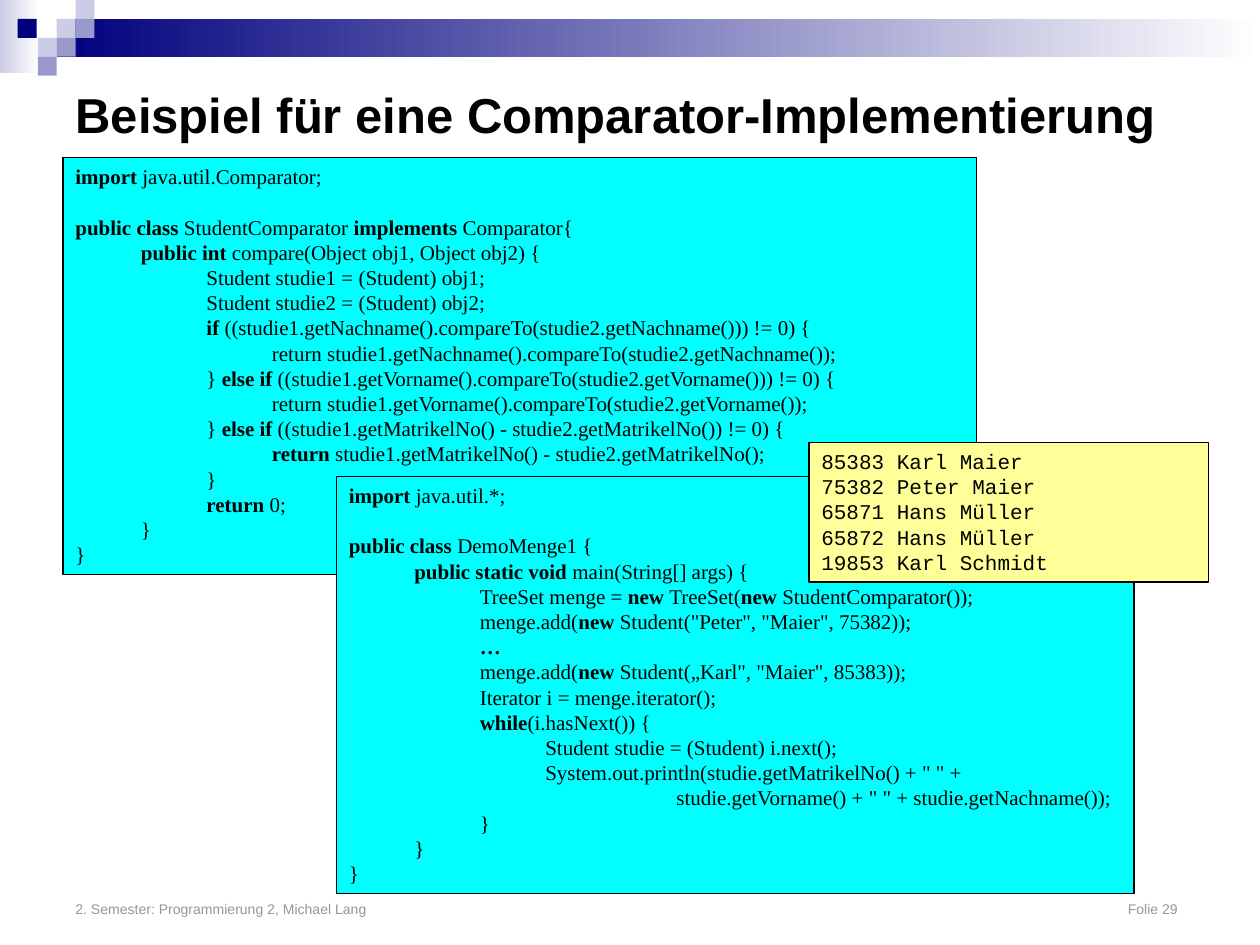
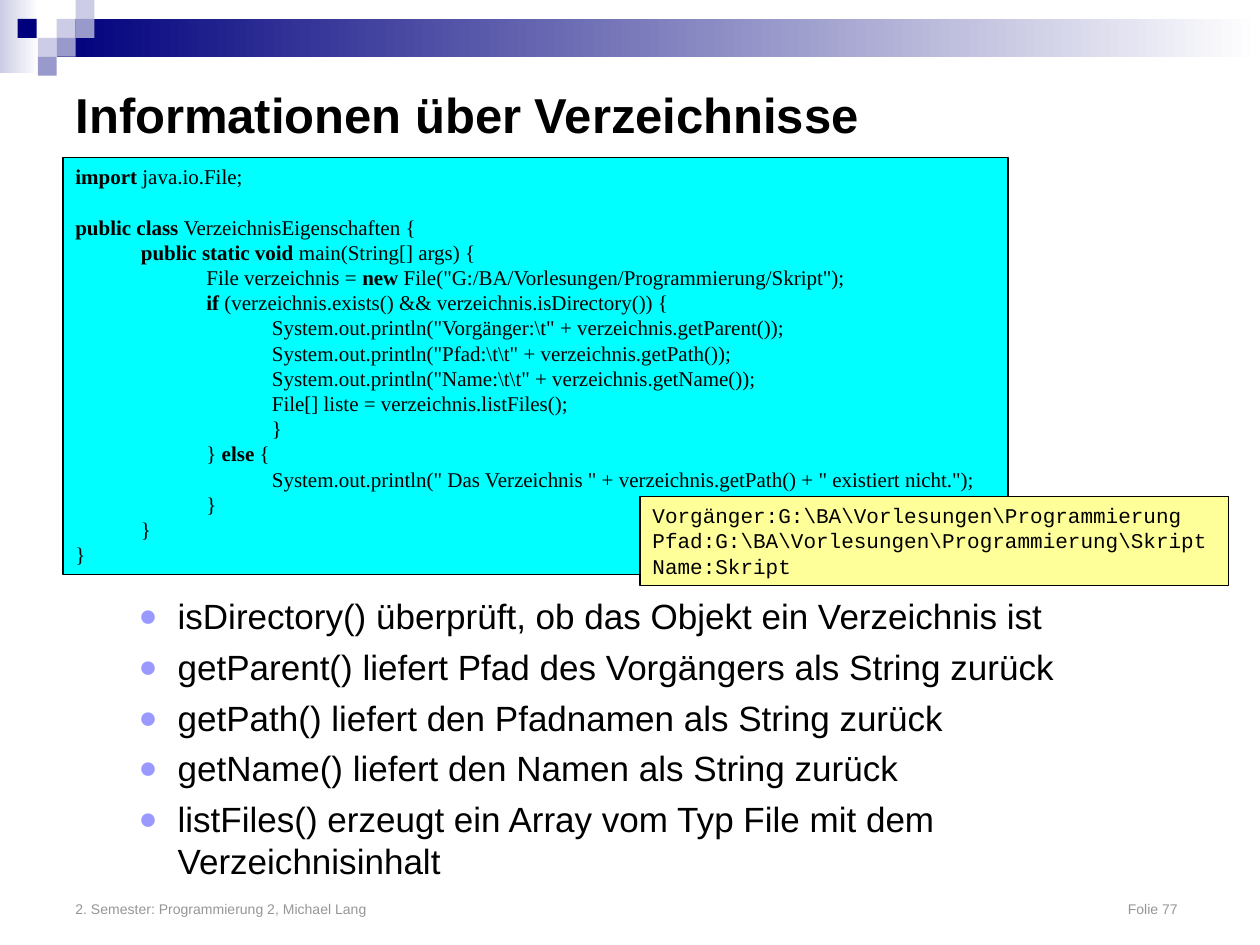
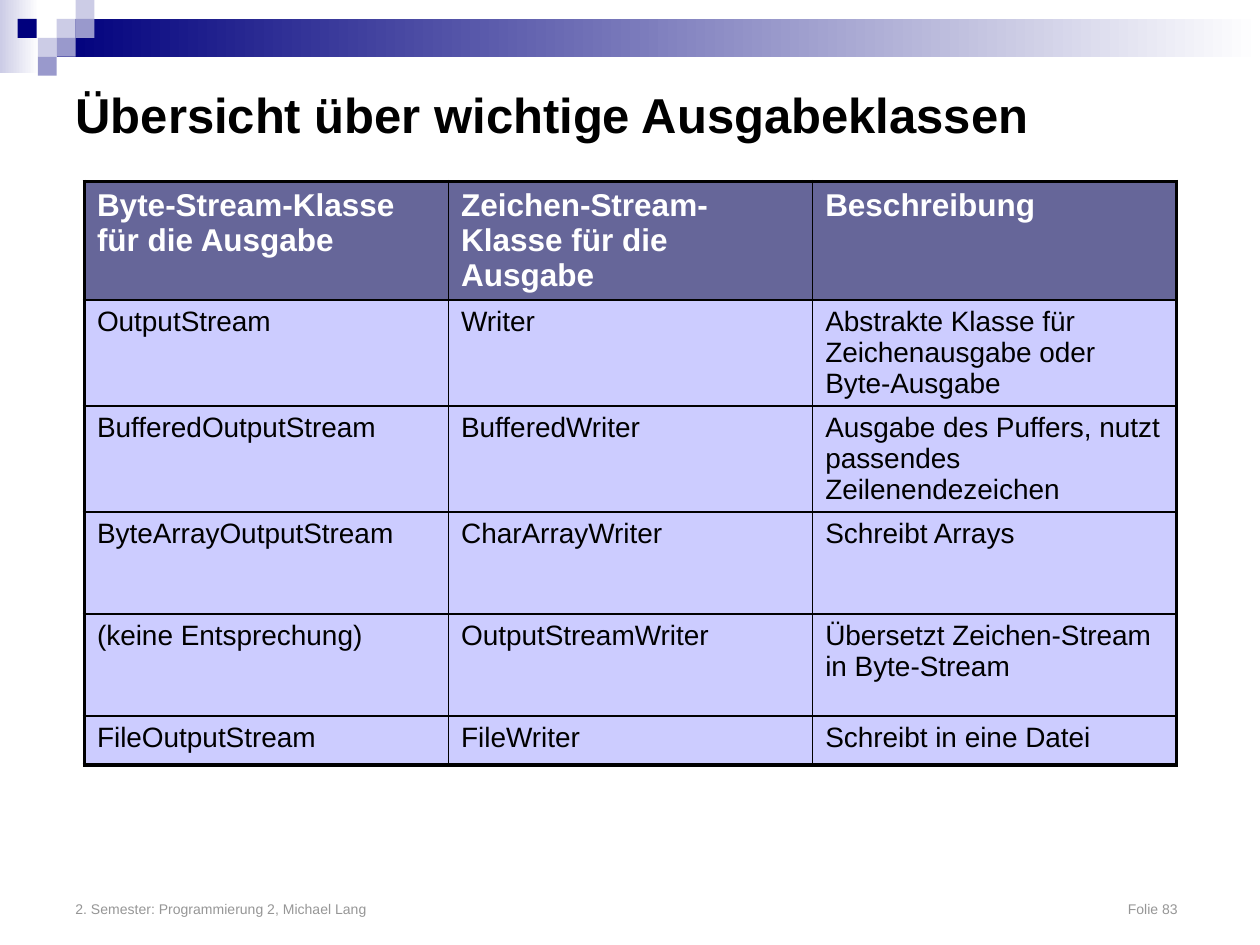
from typing import NamedTuple

from lxml import etree
from pptx import Presentation
from pptx import util as u
from pptx.dml.color import RGBColor
from pptx.enum import shapes, text
from pptx.oxml import ns

PX = 9144  # EMU per px, 100 px to the inch
COLORS = {
    "black": "000000", "white": "FFFFFF", "grey": "969696",
    "navy": "00007D", "violet": "9999CC", "pale": "CCCCE6",
    "code": "00FFFF", "output": "FFFF99", "bullet": "9999FF",
    "head": "666699", "cell": "CCCCFF",
}
SANS, SERIF, MONO = "Arial", "Times New Roman", "Courier New"
TITLE_ONLY, TITLE_AND_BODY = 5, 1
CODE_LEADING = 14.4
TAB_STEP = 52


class Box(NamedTuple):
    left: int
    top: int
    width: int
    height: int

    def emu(self) -> list[int]:
        return [side * PX for side in self]


class Block(NamedTuple):
    box: Box
    fill: str
    end: str = ""  # second colour of a gradient


class Listing(NamedTuple):
    box: Box
    source: str
    font: str = SERIF
    fill: str = "code"


# Header band and its mosaic of squares
SQUARE = 15
MOSAIC = [(1, 1, "pale"), (2, 0, "pale"), (2, 1, "violet"), (0, 2, "pale"),
          (1, 2, "violet"), (0, 3, "violet")]
HEADER = [
    Block(Box(0, 0, 31, 58), "pale", "white"),
    Block(Box(45, 15, 955, 30), "navy", "white"),
    Block(Box(14, 15, SQUARE, SQUARE), "navy"),
    *(Block(Box(30 + column * SQUARE, row * SQUARE, SQUARE, SQUARE), color)
      for column, row, color in MOSAIC),
]

# Code listings: four spaces are one tab, ** encloses keywords
COMPARATOR = r"""**import** java.util.Comparator;

**public class **StudentComparator **implements **Comparator{
    **public int **compare(Object obj1, Object obj2) {
        Student studie1 = (Student) obj1;
        Student studie2 = (Student) obj2;
        **if** ((studie1.getNachname().compareTo(studie2.getNachname())) != 0) {
            return studie1.getNachname().compareTo(studie2.getNachname());
        } **else if **((studie1.getVorname().compareTo(studie2.getVorname())) != 0) {
            return studie1.getVorname().compareTo(studie2.getVorname());
        } **else if **((studie1.getMatrikelNo() - studie2.getMatrikelNo()) != 0) {
            **return **studie1.getMatrikelNo() - studie2.getMatrikelNo();
        }
        **return** 0;
    }
}"""

DEMO = r"""**import **java.util.*;

**public class **DemoMenge1 {
    **public static void **main(String[] args) {
        TreeSet menge = **new **TreeSet(**new** StudentComparator());
        menge.add(**new **Student("Peter", "Maier", 75382));
        **…**
        menge.add(**new **Student(„Karl", "Maier", 85383));
        Iterator i = menge.iterator();
        **while**(i.hasNext()) {
            Student studie = (Student) i.next();
            System.out.println(studie.getMatrikelNo() + " " +
                    studie.getVorname() + " " + studie.getNachname());
        }
    }
}"""

DEMO_OUTPUT = """85383 Karl Maier
75382 Peter Maier
65871 Hans Müller
65872 Hans Müller
19853 Karl Schmidt"""

DIRECTORY = r"""**import **java.io.File;

**public class **VerzeichnisEigenschaften {
    **public static void **main(String[] args) {
        File verzeichnis = **new **File("G:/BA/Vorlesungen/Programmierung/Skript");
        **if** (verzeichnis.exists() && verzeichnis.isDirectory()) {
            System.out.println("Vorgänger:\t" + verzeichnis.getParent());
            System.out.println("Pfad:\t\t" + verzeichnis.getPath());
            System.out.println("Name:\t\t" + verzeichnis.getName());
            File[] liste = verzeichnis.listFiles();
            }
        } **else** {
            System.out.println(" Das Verzeichnis " + verzeichnis.getPath() + " existiert nicht.");
        }
    }
}"""

DIRECTORY_OUTPUT = r"""Vorgänger:G:\BA\Vorlesungen\Programmierung
Pfad:G:\BA\Vorlesungen\Programmierung\Skript
Name:Skript"""

METHODS = [
    "isDirectory() überprüft, ob das Objekt ein Verzeichnis ist",
    "getParent() liefert Pfad des Vorgängers als String zurück",
    "getPath() liefert den Pfadnamen als String zurück",
    "getName() liefert den Namen als String zurück",
    "listFiles() erzeugt ein Array vom Typ File mit dem Verzeichnisinhalt",
]

OUTPUT_CLASSES = [
    ("Byte-Stream-Klasse für die Ausgabe", "Zeichen-Stream-Klasse für die Ausgabe", "Beschreibung"),
    ("OutputStream", "Writer", "Abstrakte Klasse für Zeichenausgabe oder Byte-Ausgabe"),
    ("BufferedOutputStream", "BufferedWriter",
     "Ausgabe des Puffers, nutzt passendes Zeilenendezeichen"),
    ("ByteArrayOutputStream", "CharArrayWriter", "Schreibt Arrays"),
    ("(keine Entsprechung)", "OutputStreamWriter", "Übersetzt Zeichen-Stream in Byte-Stream"),
    ("FileOutputStream", "FileWriter", "Schreibt in eine Datei"),
]
ROW_HEIGHTS = [81, 81, 44, 81, 81, 39]
COLUMN_WIDTH = 289


# Formatting helpers
def rgb(name: str) -> RGBColor:
    return RGBColor.from_string(COLORS[name])


def write(paragraph, content: str, *, size: int, font: str = SANS,
          color: str = "black", bold: bool = False) -> None:
    run = paragraph.add_run()
    run.text = content
    run.font.name, run.font.size, run.font.bold = font, u.Pt(size), bold
    run.font.color.rgb = rgb(color)


def child(parent, tag: str, **attributes):
    return etree.SubElement(parent, ns.qn(f"a:{tag}"),
                            {key: str(value) for key, value in attributes.items()})


def set_tabs(paragraph, positions: list[int], align: str = "l") -> None:
    stops = child(paragraph._p.get_or_add_pPr(), "tabLst")
    for position in positions:
        child(stops, "tab", pos=position * PX, algn=align)


def set_bullet(paragraph) -> None:
    properties = paragraph._p.get_or_add_pPr()
    properties.set("marL", str(81 * PX))
    properties.set("indent", str(-31 * PX))
    child(child(properties, "buClr"), "srgbClr", val=COLORS["bullet"])
    child(properties, "buSzPct", val=90000)
    child(properties, "buFont", typeface=SANS)
    child(properties, "buChar", char="●")


def set_borders(cell, widths: dict[str, float]) -> None:
    properties = cell._tc.get_or_add_tcPr()
    for index, (side, width) in enumerate(widths.items()):
        line = child(properties, f"ln{side}", w=u.Pt(width))
        child(child(line, "solidFill"), "srgbClr", val=COLORS["black"])
        properties.insert(index, line)


def prepare(frame, anchor):
    frame.word_wrap = True
    frame.auto_size = text.MSO_AUTO_SIZE.NONE
    frame.vertical_anchor = anchor
    return frame


def paragraphs(frame, count: int) -> list:
    return [frame.paragraphs[0], *(frame.add_paragraph() for _ in range(count - 1))]


def place(shape, box: Box) -> None:
    shape.left, shape.top, shape.width, shape.height = box.emu()


# Slide parts
def add_block(slide, block: Block):
    shape = slide.shapes.add_shape(shapes.MSO_SHAPE.RECTANGLE, *block.box.emu())
    shape.shadow.inherit = False
    shape.line.fill.background()
    if block.end:
        shape.fill.gradient()
        shape.fill.gradient_angle = 0
        for stop, color in zip(shape.fill.gradient_stops, (block.fill, block.end)):
            stop.color.rgb = rgb(color)
    else:
        shape.fill.solid()
        shape.fill.fore_color.rgb = rgb(block.fill)
    return shape


def add_listing(slide, listing: Listing) -> None:
    shape = add_block(slide, Block(listing.box, listing.fill))
    shape.line.color.rgb = rgb("black")
    shape.line.width = u.Pt(0.75)
    frame = prepare(shape.text_frame, text.MSO_ANCHOR.TOP)
    lines = listing.source.split("\n")
    filled = [number for number, line in enumerate(lines) if line]
    for number, paragraph in zip(filled, paragraphs(frame, len(filled))):
        code = lines[number].lstrip(" ")
        depth = (len(lines[number]) - len(code)) // 4
        paragraph.alignment = text.PP_ALIGN.LEFT
        paragraph.line_spacing = u.Pt(CODE_LEADING)
        if number and not lines[number - 1]:
            paragraph.space_before = u.Pt(CODE_LEADING)
        if depth:
            set_tabs(paragraph, [TAB_STEP * step for step in range(1, depth + 1)])
        for part, piece in enumerate(("\t" * depth + code).split("**")):
            if piece:
                write(paragraph, piece, size=12, font=listing.font, bold=part % 2 == 1)


def add_methods(slide) -> None:
    body = slide.placeholders[1]
    place(body, Box(50, 467, 900, 242))
    frame = prepare(body.text_frame, text.MSO_ANCHOR.TOP)
    for number, paragraph in enumerate(paragraphs(frame, len(METHODS))):
        paragraph.level = 1
        set_bullet(paragraph)
        paragraph.space_before = u.Pt(5 if number else 0)
        write(paragraph, METHODS[number], size=20)


def add_class_table(slide) -> None:
    rows, columns = len(OUTPUT_CLASSES), len(OUTPUT_CLASSES[0])
    box = Box(67, 144, COLUMN_WIDTH * columns, sum(ROW_HEIGHTS))
    table = slide.shapes.add_table(rows, columns, *box.emu()).table
    table.horz_banding = False
    for column in table.columns:
        column.width = COLUMN_WIDTH * PX
    for r, entries in enumerate(OUTPUT_CLASSES):
        table.rows[r].height = ROW_HEIGHTS[r] * PX
        header = r == 0
        for c, entry in enumerate(entries):
            cell = table.cell(r, c)
            cell.fill.solid()
            cell.fill.fore_color.rgb = rgb("head" if header else "cell")
            outer = {"L": c == 0, "R": c == columns - 1, "T": header, "B": r == rows - 1}
            set_borders(cell, {side: 2.25 if edge else 1 for side, edge in outer.items()})
            write(cell.text_frame.paragraphs[0], entry, size=18 if header else 16,
                  color="white" if header else "black", bold=header)


def add_page(deck, layout: int, heading: str, number: int):
    slide = deck.slides.add_slide(deck.slide_layouts[layout])
    for block in HEADER:
        add_block(slide, block)
    # Footer with the page number at a right tab
    footer = slide.shapes.add_textbox(*Box(50, 683, 900, 50).emu())
    note = prepare(footer.text_frame, text.MSO_ANCHOR.BOTTOM).paragraphs[0]
    set_tabs(note, [875], "r")
    write(note, f"2. Semester: Programmierung 2, Michael Lang\tFolie {number}",
          size=8, color="grey")
    # Title
    title = slide.shapes.title
    place(title, Box(50, 50, 900, 81))
    line = prepare(title.text_frame, text.MSO_ANCHOR.MIDDLE).paragraphs[0]
    line.alignment = text.PP_ALIGN.LEFT
    write(line, heading, size=28, bold=True)
    return slide


def main() -> None:
    deck = Presentation()
    deck.slide_width, deck.slide_height = 1000 * PX, 750 * PX

    # Comparator example
    comparator = add_page(deck, TITLE_ONLY, "Beispiel für eine Comparator-Implementierung", 29)
    add_listing(comparator, Listing(Box(50, 125, 725, 331), COMPARATOR))
    add_listing(comparator, Listing(Box(267, 378, 633, 331), DEMO))
    add_listing(comparator, Listing(Box(642, 351, 317, 111), DEMO_OUTPUT, MONO, "output"))

    # Directory information
    directory = add_page(deck, TITLE_AND_BODY, "Informationen über Verzeichnisse", 77)
    add_methods(directory)
    add_listing(directory, Listing(Box(50, 125, 750, 331), DIRECTORY))
    add_listing(directory, Listing(Box(508, 394, 467, 71), DIRECTORY_OUTPUT, MONO, "output"))

    # Output classes
    overview = add_page(deck, TITLE_ONLY, "Übersicht über wichtige Ausgabeklassen", 83)
    add_class_table(overview)

    deck.save("out.pptx")


if __name__ == "__main__":
    main()
